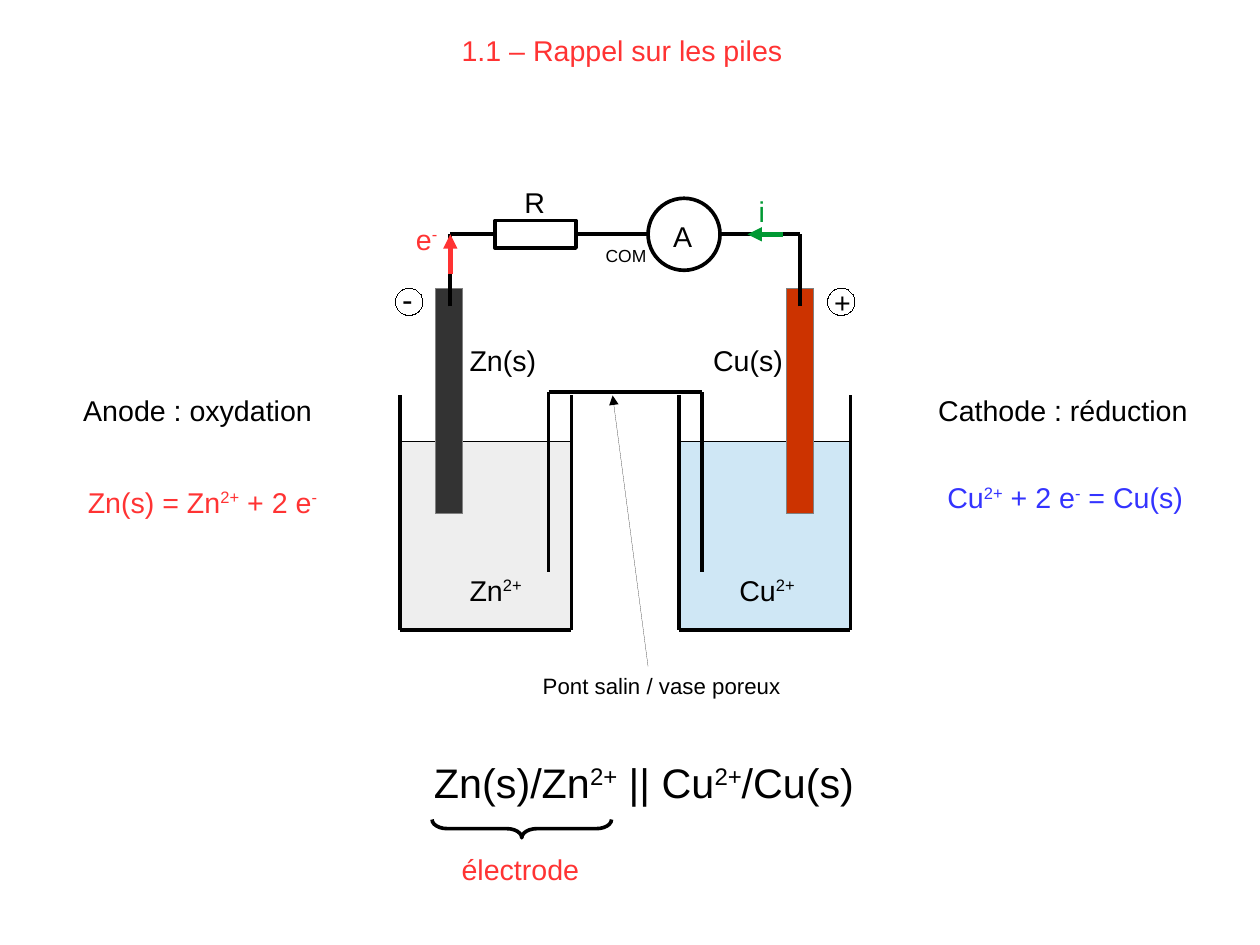
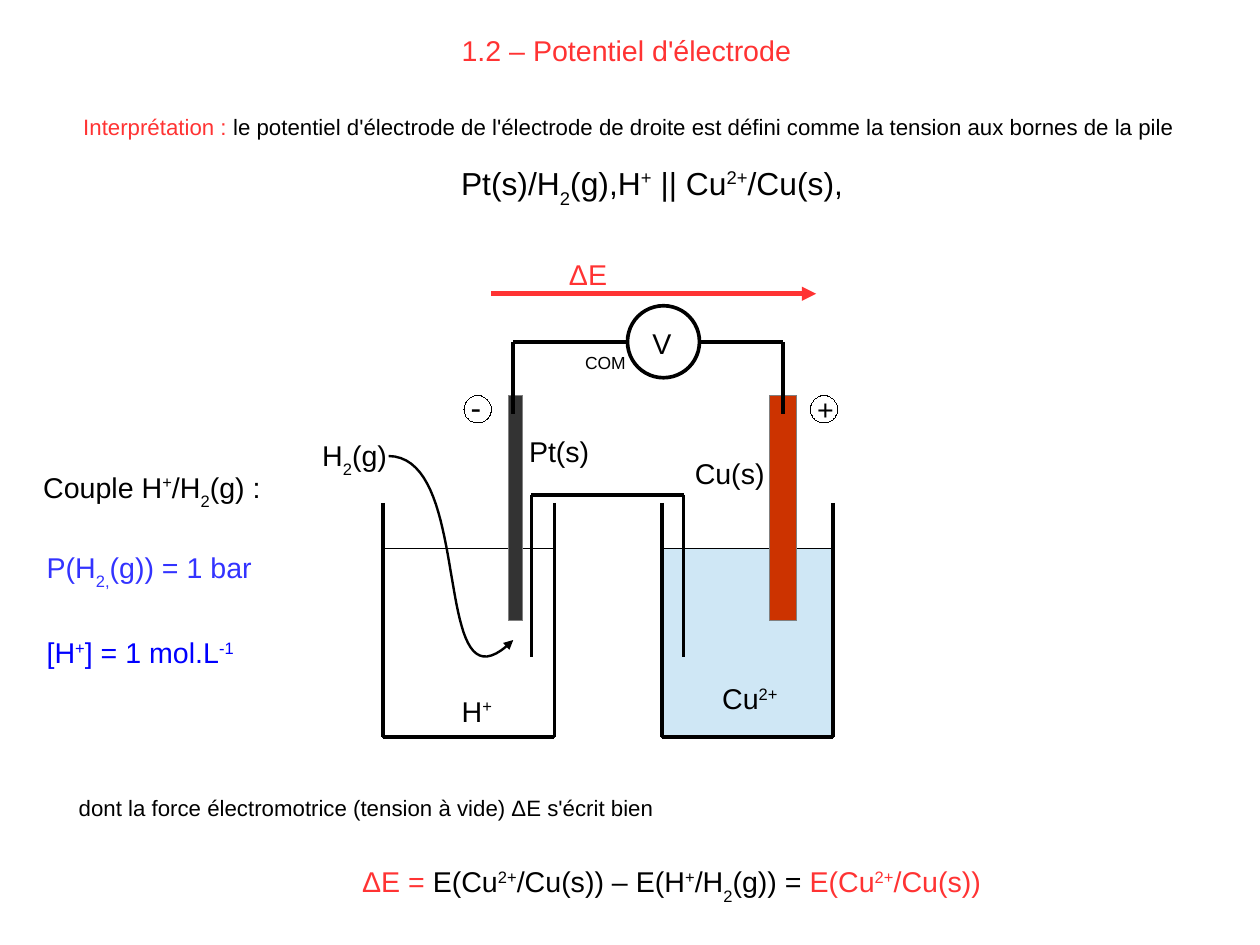
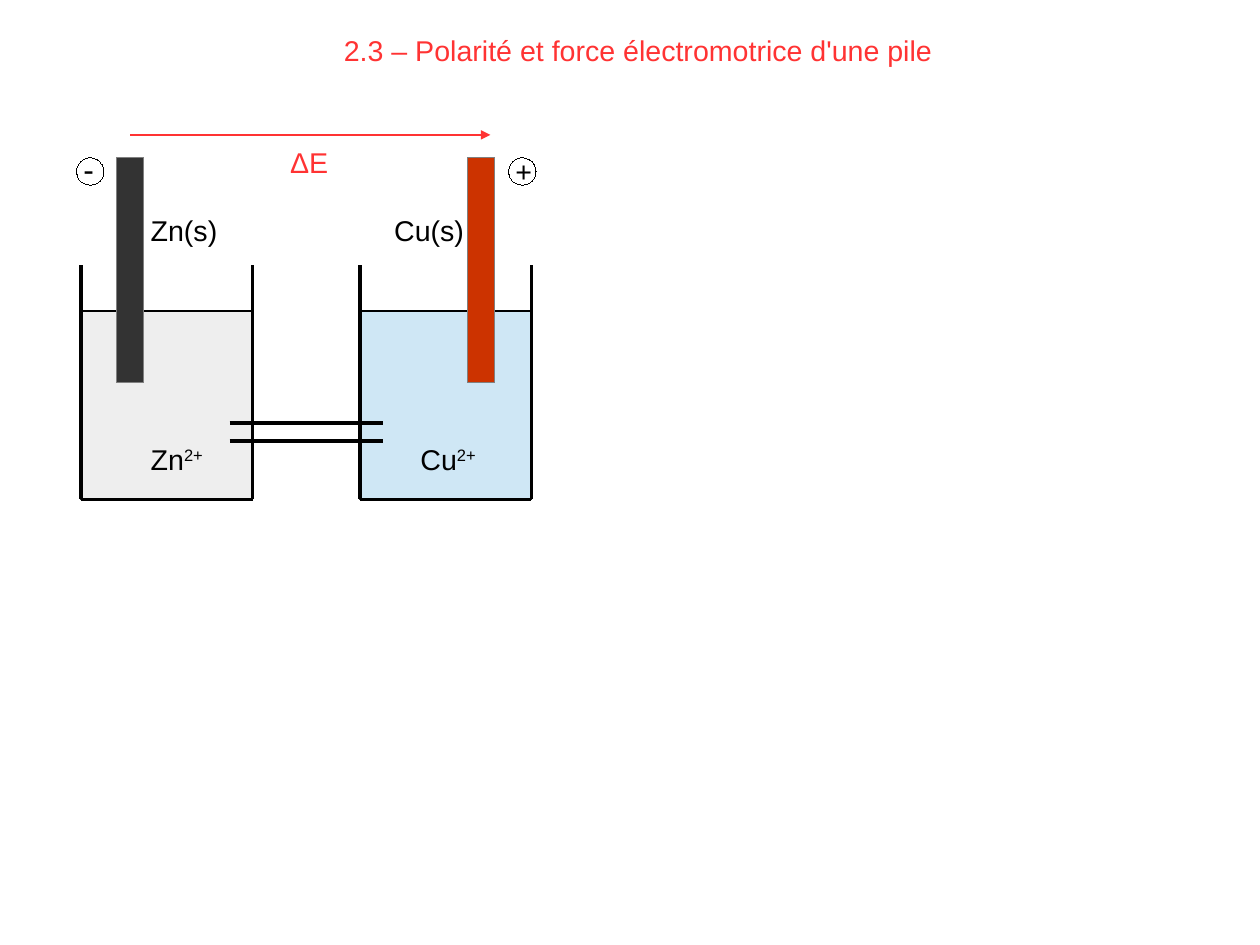
from lxml import etree
from pptx import Presentation
from pptx.dml.color import RGBColor
from pptx.enum.shapes import MSO_CONNECTOR, MSO_SHAPE
from pptx.enum.text import PP_ALIGN
from pptx.oxml.ns import qn
from pptx.util import Inches, Pt

RECT, OVAL, BRACE = MSO_SHAPE.RECTANGLE, MSO_SHAPE.OVAL, MSO_SHAPE.RIGHT_BRACE
STRAIGHT = MSO_CONNECTOR.STRAIGHT
CENTER = PP_ALIGN.CENTER

SLIDE_W, SLIDE_H = 28 / 2.54, 21 / 2.54
FONT = "Arial"
BLACK, WHITE, RED, GREEN = "000000", "FFFFFF", "FF3333", "009933"
BLUE, PURE_BLUE, GREY = "3333FF", "0000FF", "808080"
ZINC, COPPER, ZINC_BATH, COPPER_BATH = "333333", "CC3300", "EEEEEE", "CFE7F5"
THIN, WIRE, THICK = 0.79, 2.3, 3

BEAKER_W, BEAKER_GAP, BATH_H, WALL_ABOVE = 1.5, 2.44, 1.65, 0.4
ROD_H, ROD_ABOVE, SIGN_D, METER_D = 1.97, 1.34, 0.24, 0.63
CIRCUIT_ABOVE, WIRE_DROP = 1.81, 0.63
RIGHT_ROD = {"x": 3.38, "w": 0.24, "color": COPPER, "wire": 3.5}
ZINC_ROD = {"x": 0.31, "w": 0.24, "color": ZINC, "wire": 0.44}
PLATINUM_ROD = {"x": 1.1, "w": 0.12, "color": ZINC, "wire": 1.14}

ZINC_LABELS = [
    (0.51, 1.1, ["Zn", "^2+"]), (2.87, 1.1, ["Cu", "^2+"]),
    (0.51, -0.91, ["Zn(s)"]), (2.64, -0.91, ["Cu(s)"]),
]

SLIDES = [
    {
        "title": (3.94, 3.2, "1.1 – Rappel sur les piles"),
        "cell": {"at": (3.5, 3.86), "bath": ZINC_BATH, "rod": ZINC_ROD,
                 "minus": -0.04, "labels": ZINC_LABELS,
                 "bridge": [(1.3, -0.43, 2.64, -0.43), (2.64, -0.43, 2.64, 1.14),
                            (1.3, -0.43, 1.3, 1.14)]},
        "meter": (2.17, "A"),
        "resistor": (4.33, 0.71, 0.24),
        "brace": (3.78, 7.17, 1.57, 0.16),
        "arrows": [(3.94, 2.4, 3.94, 2.05, RED, THICK),
                   (6.85, 2.05, 6.54, 2.05, GREEN, THICK),
                   (5.67, 5.83, 5.36, 3.46, BLACK, 0)],
        "texts": [
            (8.11, 3.39, 2.5, ["Cathode : réduction"], {}),
            (0.63, 3.39, 2.5, ["Anode : oxydation"], {}),
            (0.67, 4.19, 2.5, ["Zn(s) = Zn", "^2+", " + 2 e", "^-"], {"color": RED}),
            (8.19, 4.15, 2.6, ["Cu", "^2+", " + 2 e", "^-", " = Cu(s)"], {"color": BLUE}),
            (4.65, 5.83, 2.5, ["Pont salin / vase poreux"], {"size": 14}),
            (4.49, 1.57, 0.4, ["R"], {}),
            (3.39, 6.58, 4.49, ["Zn(s)/Zn", "^2+", " || Cu", "^2+", "/Cu(s)"],
             {"size": 26, "align": CENTER}),
            (3.94, 7.4, 1.3, ["électrode"], {"color": RED}),
            (3.54, 1.89, 0.45, ["e", "^-"], {"color": RED}),
            (6.54, 1.65, 0.63, ["i"], {"color": GREEN}),
        ],
    },
    {
        "title": (3.94, 3.39, "1.2 – Potentiel d'électrode"),
        "cell": {"at": (3.35, 4.8), "bath": WHITE, "rod": PLATINUM_ROD, "minus": 0.71,
                 "labels": [(0.59, 1.22, ["H", "^+"]), (2.87, 1.11, ["Cu", "^2+"]),
                            (1.18, -1.05, ["Pt(s)"]), (2.63, -0.86, ["Cu(s)"])],
                 "bridge": [(1.3, -0.47, 2.63, -0.47), (2.63, -0.47, 2.63, 0.95),
                            (1.3, -0.47, 1.3, 0.95)]},
        "meter": (2.14, "V"),
        "gas_curve": [(3.4, 3.99), (4.17, 4), (3.75, 6.34), (4.49, 5.6)],
        "arrows": [(4.3, 2.57, 7.14, 2.57, RED, THICK)],
        "texts": [
            (2.72, 3.78, 0.85, ["H", "_2", "(g)"], {}),
            (0.31, 4.76, 2.1, ["P(H", "_2,", "(g)) = 1 bar"], {"color": BLUE}),
            (0.31, 5.51, 2.17, ["[H", "^+", "] = 1 mol.L", "^-1"], {"color": PURE_BLUE}),
            (0.28, 4.06, 2.4, ["Couple H", "^+", "/H", "_2", "(g) :"], {}),
            (0.63, 0.94, 10.16,
             [("Interprétation :", RED), " le potentiel d'électrode de l'électrode de droite "
              "est défini comme la tension aux bornes de la pile"], {"size": 14}),
            (3.07, 7.51, 5.9,
             [("ΔE =", RED), " E(Cu", "^2+", "/Cu(s)) – E(H", "^+", "/H", "_2", "(g)) =",
              (" E(Cu", RED), ("^2+", RED), ("/Cu(s))", RED)], {}),
            (3.46, 1.38, 4.49,
             ["Pt(s)/H", "_2", "(g),H", "^+", " || Cu", "^2+", "/Cu(s),"],
             {"size": 20, "align": CENTER}),
            (0.59, 6.9, 5.59,
             ["dont la force électromotrice (tension à vide) ΔE s'écrit bien"], {"size": 14}),
            (4.88, 2.2, 0.6, ["ΔE"], {"color": RED}),
        ],
    },
    {
        "title": (2.91, 5.4, "2.3 – Polarité et force électromotrice d'une pile"),
        "cell": {"at": (0.71, 2.72), "bath": ZINC_BATH, "rod": ZINC_ROD,
                 "minus": -0.04, "labels": ZINC_LABELS,
                 "bridge": [(1.3, 0.98, 2.64, 0.98), (1.3, 1.14, 2.64, 1.14)]},
        "arrows": [(1.14, 1.18, 4.29, 1.18, RED, 1.5)],
        "texts": [(2.44, 1.22, 0.6, ["ΔE"], {"color": RED})],
    },
]


def rgb(color):
    return RGBColor.from_string(color)


def stroke(sp, color, width, arrow=False):
    sp.line.color.rgb = rgb(color)
    ln = sp.line._get_or_add_ln()
    ln.set("w", str(Pt(width)))
    if arrow:
        etree.SubElement(ln, qn("a:tailEnd"), type="triangle")


def shape(s, kind, x, y, w, h, fill=WHITE, line=BLACK, width=WIRE):
    sp = s.shapes.add_shape(kind, Inches(x), Inches(y), Inches(w), Inches(h))
    sp.shadow.inherit = False
    if fill:
        sp.fill.solid()
        sp.fill.fore_color.rgb = rgb(fill)
    else:
        sp.fill.background()
    stroke(sp, line, width)
    return sp


def line(s, x1, y1, x2, y2, color=BLACK, width=WIRE, arrow=False):
    cx = s.shapes.add_connector(STRAIGHT, Inches(x1), Inches(y1), Inches(x2), Inches(y2))
    stroke(cx, color, width, arrow)
    etree.SubElement(cx._element.spPr, qn("a:effectLst"))
    return cx


def text(s, x, y, w, runs, size=18, color=BLACK, align=None):
    tf = s.shapes.add_textbox(Inches(x), Inches(y), Inches(w), Inches(0.38)).text_frame
    tf.word_wrap = True
    p = tf.paragraphs[0]
    p.alignment = align
    for run in runs:
        words, tint = run if isinstance(run, tuple) else (run, color)
        shift = {"^": "33000", "_": "-33000"}.get(words[0])
        r = p.add_run()
        r.text = words[1:] if shift else words
        for name, value in {"name": FONT, "size": Pt(size)}.items():
            setattr(r.font, name, value)
        r.font.color.rgb = rgb(tint)
        if shift:
            r._r.get_or_add_rPr().set("baseline", shift)


def sign(s, x, y, mark, dx, dy, size):
    shape(s, OVAL, x, y, SIGN_D, SIGN_D, width=0)
    text(s, x + dx, y + dy, 0.39, [mark], size)


def cell(s, at, bath, rod, minus, labels, bridge):
    x, y = at
    for left, fill in ((x + BEAKER_GAP, COPPER_BATH), (x, bath)):
        right, bottom = left + BEAKER_W, y + BATH_H
        shape(s, RECT, left, y, BEAKER_W, BATH_H, fill, width=THIN)
        for wall in (left, right):
            line(s, wall, y - WALL_ABOVE, wall, bottom)
        line(s, left, bottom, right, bottom)
    top = y - ROD_ABOVE
    for bar in (rod, RIGHT_ROD):
        shape(s, RECT, x + bar["x"], top, bar["w"], ROD_H, bar["color"], GREY, 0)
    sign(s, x + minus, top, "-", -0.04, -0.12, 20)
    sign(s, x + 3.74, top, "+", -0.04, -0.08, 18)
    for dx, dy, runs in labels:
        text(s, x + dx, y + dy, 0.85, runs)
    for x1, y1, x2, y2 in bridge:
        line(s, x + x1, y + y1, x + x2, y + y2)


def circuit(s, at, rod, meter, resistor):
    x, y = at[0], at[1] - CIRCUIT_ABOVE
    left, right = (x + bar["wire"] for bar in (rod, RIGHT_ROD))
    for end in (left, right):
        line(s, end, y + WIRE_DROP, end, y)
    offset, letter = meter
    mx, my = x + offset, y - METER_D / 2
    if resistor:
        rx, rw, rh = resistor
        box = shape(s, RECT, rx, y - rh / 2, rw, rh)
        line(s, left, y, rx, y).end_connect(box, 1)
        line(s, rx + rw, y, mx, y).begin_connect(box, 3)
    else:
        line(s, left, y, mx, y)
    line(s, mx + METER_D, y, right, y)
    shape(s, OVAL, mx, my, METER_D, METER_D)
    text(s, mx + 0.12, my + 0.13, 0.4, [letter])
    text(s, mx - 0.47, my + 0.36, 0.63, ["COM"], 11)


def bezier(points, t):
    weights = ((1 - t) ** 3, 3 * t * (1 - t) ** 2, 3 * t * t * (1 - t), t ** 3)
    return tuple(Inches(sum(k * pt[i] for k, pt in zip(weights, points))) for i in (0, 1))


def curve(s, points, steps=40):
    dots = [bezier(points, i / steps) for i in range(steps + 1)]
    builder = s.shapes.build_freeform(*dots[0])
    builder.add_line_segments(dots[1:], close=False)
    sp = builder.convert_to_shape()
    sp.shadow.inherit = False
    sp.fill.background()
    stroke(sp, BLACK, 1.5, True)


def brace(s, x, y, w, h):
    sp = shape(s, BRACE, x + (w - h) / 2, y + (h - w) / 2, h, w, fill=None)
    sp.rotation = 90
    sp.adjustments[0] = 0.83


def build(prs, data):
    s = prs.slides.add_slide(prs.slide_layouts[6])
    x, w, title = data["title"]
    text(s, x, 0.24, w, [title], color=RED)
    cell(s, **data["cell"])
    if "meter" in data:
        circuit(s, data["cell"]["at"], data["cell"]["rod"], data["meter"],
                data.get("resistor"))
    if "gas_curve" in data:
        curve(s, data["gas_curve"])
    if "brace" in data:
        brace(s, *data["brace"])
    for arrow in data["arrows"]:
        line(s, *arrow, arrow=True)
    for x, y, w, runs, style in data["texts"]:
        text(s, x, y, w, runs, **style)


def main():
    prs = Presentation()
    prs.slide_width = Inches(SLIDE_W)
    prs.slide_height = Inches(SLIDE_H)
    for data in SLIDES:
        build(prs, data)
    prs.save("out.pptx")


if __name__ == "__main__":
    main()
